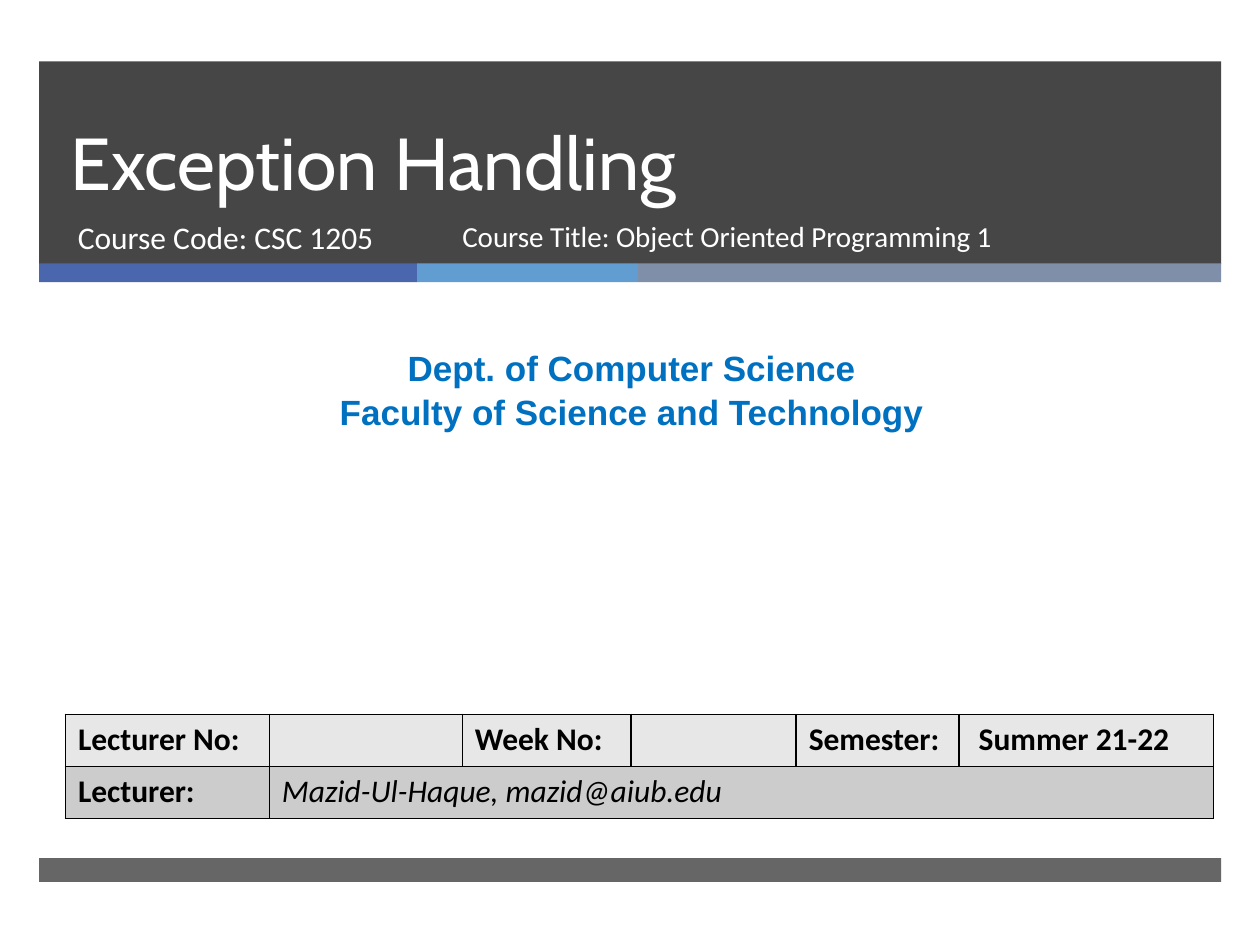
from pptx import Presentation
from pptx.dml.color import RGBColor
from pptx.enum.shapes import MSO_SHAPE as Shape
from pptx.enum.text import MSO_ANCHOR as Anchor, MSO_AUTO_SIZE as AutoSize, PP_ALIGN as Align
from pptx.oxml.ns import qn
from pptx.util import Cm, Pt
from lxml.etree import SubElement

COLORS = {
    "dark": "262626", "indigo": "4A66AC", "sky": "629DD1", "slate": "7F8FA9",
    "white": "FFFFFF", "black": "000000", "blue": "0070C0",
    "light row": "E7E7E7", "grey row": "CCCCCC",
}


def rgb(name):
    return RGBColor.from_string(COLORS[name])


class Deck:
    """Holds the presentation style and the current slide."""
    body_font = "Calibri"
    body_size = 18

    def __init__(self):
        self.prs = Presentation()
        self.prs.slide_width, self.prs.slide_height = Cm(25.4), Cm(19.05)
        self.slide = self.prs.slides.add_slide(self.prs.slide_layouts[5])

    def format(self, frame, color, size=None, font=None, bold=False, italic=False,
               align=Align.LEFT, spacing=None):
        for paragraph in frame.paragraphs:
            paragraph.alignment = align
            paragraph.line_spacing = spacing
            for run in paragraph.runs:
                run.font.name = font or self.body_font
                run.font.size = Pt(size or self.body_size)
                run.font.bold, run.font.italic = bold, italic
                run.font.color.rgb = rgb(color)

    def bar(self, left, top, width, height, color, opacity=100):
        box = self.slide.shapes.add_shape(
            Shape.RECTANGLE, Cm(left), Cm(top), Cm(width), Cm(height))
        box.shadow.inherit = False
        box.line.fill.background()
        box.fill.solid()
        box.fill.fore_color.rgb = rgb(color)
        if opacity < 100:
            tone = box.fill._xPr.find(qn("a:solidFill"))[0]
            SubElement(tone, qn("a:alpha"), val=str(opacity * 1000))

    def title(self, text, left, top, width, height):
        title = self.slide.shapes.title
        title.left, title.top, title.width, title.height = map(Cm, (left, top, width, height))
        frame = title.text_frame
        frame.text = text
        frame.auto_size = AutoSize.NONE
        frame.vertical_anchor = Anchor.BOTTOM
        self.format(frame, "white", 42, "Cabin", spacing=Pt(46))
        # Bring the title in front of the banner
        self.slide.shapes._spTree.append(title._element)

    def text(self, text, left, top, width, height, color, **style):
        box = self.slide.shapes.add_textbox(Cm(left), Cm(top), Cm(width), Cm(height))
        box.text_frame.word_wrap = True
        box.text_frame.text = text
        self.format(box.text_frame, color, **style)

    def cell(self, cell, text, fill, **style):
        cell.text_frame.text = text
        self.format(cell.text_frame, "black", **style)
        properties = cell._tc.get_or_add_tcPr()
        for side in ("lnL", "lnR", "lnT", "lnB"):
            border = SubElement(properties, qn(f"a:{side}"), w=str(Pt(1)))
            paint = SubElement(border, qn("a:solidFill"))
            SubElement(paint, qn("a:srgbClr"), val=COLORS["black"])
        cell.fill.solid()
        cell.fill.fore_color.rgb = rgb(fill)

    def table(self, rows, left, top, widths, row_height):
        table = self.slide.shapes.add_table(
            len(rows), len(widths), Cm(left), Cm(top),
            Cm(sum(widths)), Cm(row_height * len(rows))).table
        for column, width in zip(table.columns, widths):
            column.width = Cm(width)
        for r, (fill, texts) in enumerate(rows):
            table.rows[r].height = Cm(row_height)
            for c, text in enumerate(texts):
                is_name = r == 1 and c == 1
                self.cell(table.cell(r, c), text, fill, bold=not is_name, italic=is_name)
        return table


def main():
    deck = Deck()
    margin, content_width = 0.79, 23.83

    # Banner, colour stripe and footer
    deck.bar(margin, 1.24, content_width, 4.09, "dark", opacity=85)
    stripe_left = margin
    for width, color in ((7.62, "indigo"), (4.45, "sky"), (11.76, "slate")):
        deck.bar(stripe_left, 5.31, width, 0.38, color)
        stripe_left += width
    deck.bar(margin, 17.3, content_width, 0.48, "dark", opacity=70)

    # Title and course details
    deck.title("Exception Handling", 1.17, 1.24, 21.69, 3.02)
    deck.text("Course Code: CSC 1205", 1.32, 4.27, 7.75, 1.35, "white")
    deck.text("Course Title: Object Oriented Programming 1",
              9.07, 4.27, 11.71, 1.35, "white", size=16.6)

    # Department
    deck.text("Dept. of Computer Science\nFaculty of Science and Technology",
              0.2, 6.81, 25.07, 1.96, "blue", size=20, font="Arial", bold=True,
              align=Align.CENTER, spacing=1.05)

    # Lecture details
    details = deck.table(
        [("light row", ["Lecturer No:", "", "Week No:", "", "Semester:", "Summer 21-22"]),
         ("grey row", ["Lecturer:", "Mazid-Ul-Haque, mazid@aiub.edu", "", "", "", ""])],
        1.32, 14.4, [4.11, 3.89, 3.4, 3.33, 3.28, 5.13], 1.05)
    details.cell(0, 5).margin_left = Cm(0.4)
    details.cell(1, 1).merge(details.cell(1, 5))

    deck.prs.save("out.pptx")


if __name__ == "__main__":
    main()
